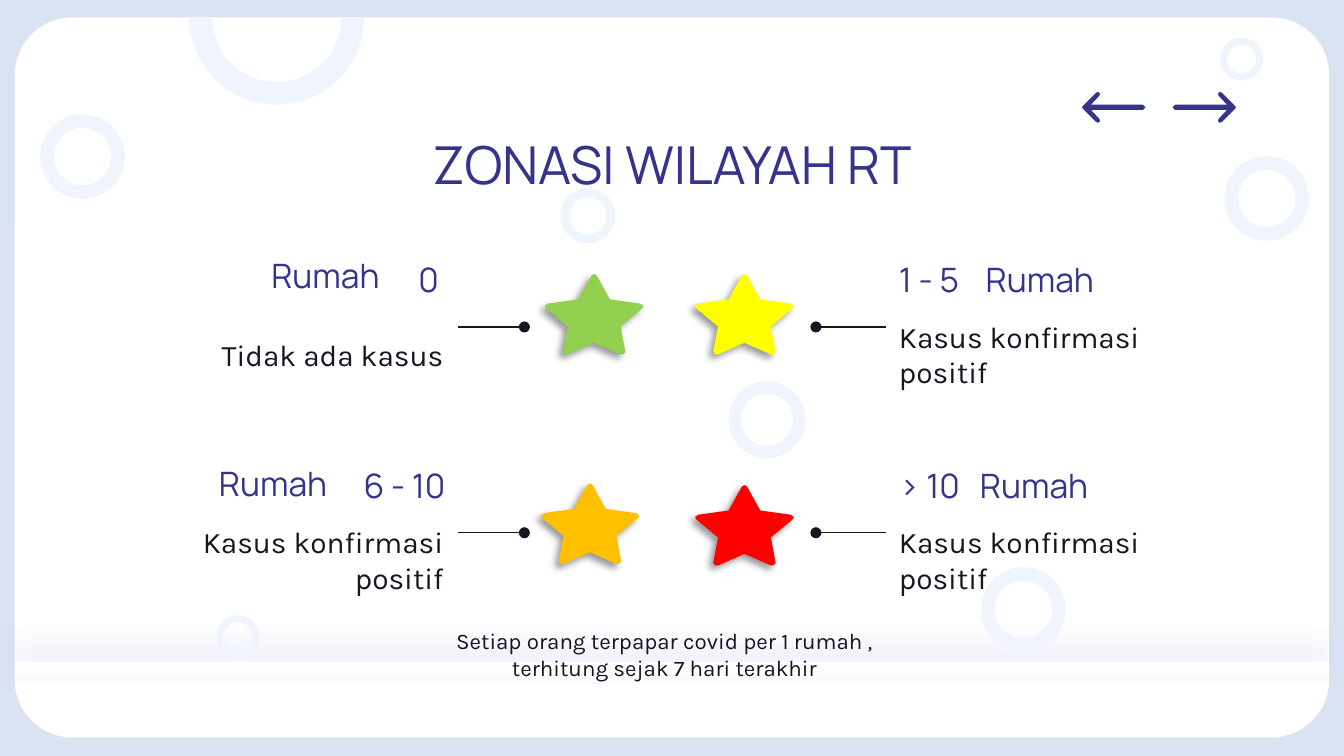
"""Build the slide that explains the RT zone colours."""
from dataclasses import dataclass

from lxml.etree import SubElement
from pptx import Presentation
from pptx.dml.color import RGBColor
from pptx.enum.shapes import MSO_CONNECTOR, MSO_SHAPE
from pptx.enum.text import MSO_ANCHOR, PP_ALIGN
from pptx.oxml.ns import qn
from pptx.util import Cm, Pt


@dataclass(frozen=True)
class Theme:
    back: str = "DAE3F2"
    panel: str = "FFFFFF"
    ring: str = "F0F5FD"
    accent: str = "36338C"
    ink: str = "161620"
    glow: str = "7966E4"
    shade: str = "000000"
    green: str = "92D050"
    yellow: str = "FFFF00"
    orange: str = "FFC000"
    red: str = "FF0000"
    head_font: str = "Manrope"
    body_font: str = "Karla"
    title_size: int = 28
    head_size: int = 18
    body_size: int = 16
    note_size: int = 12


T = Theme()
LEFT, CENTER, RIGHT = PP_ALIGN.LEFT, PP_ALIGN.CENTER, PP_ALIGN.RIGHT
MIDDLE, BOTTOM = MSO_ANCHOR.MIDDLE, MSO_ANCHOR.BOTTOM
TITLE = (T.head_font, T.title_size, T.accent)
HEAD = (T.head_font, T.head_size, T.accent)
BODY = (T.body_font, T.body_size, T.ink)
NOTE = (T.body_font, T.note_size, T.ink)
STAR_SHADOW = (T.shade, 40, 4, 3, 135)
DIVIDER_GLOW = (T.glow, 100, 15.8, 4.5, 264)

HALF_STAR = [(0, 0), (0.05, 0.03), (0.3, 0.48), (0.87, 0.56), (0.93, 0.6),
             (0.92, 0.64), (0.5, 0.99), (0.59, 1.47), (0.55, 1.52),
             (0.5, 1.52), (0, 1.3)]
STAR = HALF_STAR + [(-x, y) for x, y in HALF_STAR[-2:0:-1]]
HALF_ARROW = [(0, 0), (-0.03, -0.04), (-0.27, -0.28), (-0.31, -0.29),
              (-0.34, -0.26), (-0.33, -0.22), (-0.17, -0.05),
              (-1.15, -0.05), (-1.2, 0)]
ARROW = HALF_ARROW + [(x, -y) for x, y in HALF_ARROW[-2:0:-1]]


def rgb(color):
    return RGBColor.from_string(color)


def set_effect(sp, shadow=None):
    effects = SubElement(sp._element.spPr, qn("a:effectLst"))
    if shadow:
        color, alpha, blur, dist, angle = shadow
        outer = SubElement(effects, qn("a:outerShdw"), blurRad=str(Pt(blur)),
                           dist=str(Pt(dist)), dir=str(angle * 60000),
                           algn="bl", rotWithShape="0")
        clr = SubElement(outer, qn("a:srgbClr"), val=color)
        SubElement(clr, qn("a:alpha"), val=str(alpha * 1000))


def paint(sp, color, shadow=None):
    sp.fill.solid()
    sp.fill.fore_color.rgb = rgb(color)
    sp.line.fill.background()
    set_effect(sp, shadow)


def add_preset(s, kind, box, color, adjustments=()):
    sp = s.shapes.add_shape(kind, *map(Cm, box))
    for i, value in enumerate(adjustments):
        sp.adjustments[i] = value
    paint(sp, color)
    return sp


def add_rings(s, rings):
    for x, y, size in rings:
        add_preset(s, MSO_SHAPE.DONUT, (x, y, size, size), T.ring, [0.16])


def add_outline(s, points, x, y, color, shadow=None, flip=1):
    pts = [(Cm(x + flip * dx), Cm(y + dy)) for dx, dy in points]
    builder = s.shapes.build_freeform(*pts[0])
    builder.add_line_segments(pts[1:], close=True)
    paint(builder.convert_to_shape(), color, shadow)


def add_line(s, x1, x2, y, color, dot=False, shadow=None):
    line = s.shapes.add_connector(MSO_CONNECTOR.STRAIGHT,
                                  Cm(x1), Cm(y), Cm(x2), Cm(y))
    line.line.color.rgb = rgb(color)
    line.line.width = Pt(0.75)
    if dot:
        ln = line._element.spPr.find(qn("a:ln"))
        SubElement(ln, qn("a:tailEnd"), type="oval")
    set_effect(line, shadow)


def add_text(s, box, text, style, align, anchor, tab=None):
    tf = s.shapes.add_textbox(*map(Cm, box)).text_frame
    tf.word_wrap = True
    tf.vertical_anchor = anchor
    tf.margin_left = tf.margin_right = Cm(0.25)
    tf.margin_top = tf.margin_bottom = Cm(0.25)
    p = tf.paragraphs[0]
    p.alignment = align
    if tab:
        tabs = SubElement(p._p.get_or_add_pPr(), qn("a:tabLst"))
        SubElement(tabs, qn("a:tab"), pos=str(Cm(tab)), algn="l")
    r = p.add_run()
    r.text = text
    font, size, color = style
    r.font.name = font
    r.font.size = Pt(size)
    r.font.color.rgb = rgb(color)


def add_zone(s, y, on_left, head, body, tab=None):
    head_x, body_x, align = (2.57, 2.18, RIGHT) if on_left else (16.74, 16.74, LEFT)
    line_from, line_to = (8.66, 9.91) if on_left else (16.74, 15.42)
    add_text(s, (head_x, y, 6.1, 1.24), head, HEAD, align, BOTTOM, tab)
    add_text(s, (body_x, y + 1.24, 6.45, 1.57), body, BODY, align, MIDDLE)
    add_line(s, line_from, line_to, y + 1.51, T.ink, dot=True)


def add_backdrop(s):
    s.background.fill.solid()
    s.background.fill.fore_color.rgb = rgb(T.back)
    add_preset(s, MSO_SHAPE.ROUNDED_RECTANGLE, (0.28, 0.33, 24.84, 13.61),
               T.panel, [0.08])
    add_rings(s, [(0.76, 2.16, 1.6), (23.06, 0.71, 0.81), (23.14, 2.95, 1.6)])
    arc = add_preset(s, MSO_SHAPE.BLOCK_ARC, (3.58, -1.32, 3.3, 3.3),
                     T.ring, [102.48, 210.58, 0.13])
    arc.rotation = 189.3


def main():
    prs = Presentation()
    prs.slide_width, prs.slide_height = Cm(25.4), Cm(14.29)
    s = prs.slides.add_slide(prs.slide_layouts[6])
    add_backdrop(s)
    add_text(s, (1.98, 2.29, 21.44, 1.6), "ZONASI WILAYAH RT", TITLE, CENTER, MIDDLE)

    cases = "Kasus konfirmasi positif"
    top, bottom = 4.67, 8.56
    add_zone(s, top, True, "0 ", "Tidak ada kasus")
    add_zone(s, bottom, True, "6 - 10", cases)
    add_zone(s, top, False, "1 - 5\tRumah", cases, tab=1.64)
    add_zone(s, bottom, False, "> 10\tRumah", cases, tab=1.53)

    add_line(s, 25.12, 0.28, 12.52, T.panel, shadow=DIVIDER_GLOW)
    add_preset(s, MSO_SHAPE.RECTANGLE, (0.28, 12.52, 24.84, 0.23), T.panel)
    add_rings(s, [(18.54, 10.72, 1.6), (10.59, 3.56, 1.04),
                  (13.77, 7.21, 1.45), (4.09, 11.63, 0.81)])
    for x, flip in [(23.36, 1), (20.45, -1)]:
        add_outline(s, ARROW, x, 2.03, T.accent, flip=flip)
    for x, y, color in [(11.23, 5.18, T.green), (14.07, 5.18, T.yellow),
                        (11.15, 9.14, T.orange), (14.07, 9.17, T.red)]:
        add_outline(s, STAR, x, y, color, STAR_SHADOW)

    add_text(s, (8.05, 11.66, 9.02, 1.42),
             "Setiap orang terpapar covid per 1 rumah , terhitung sejak 7 hari terakhir",
             NOTE, CENTER, MIDDLE)
    for x, y in [(1.45, 4.6), (0.46, 8.53)]:
        add_text(s, (x, y, 6.1, 1.24), "Rumah ", HEAD, RIGHT, BOTTOM)
    prs.save("out.pptx")


if __name__ == "__main__":
    main()
